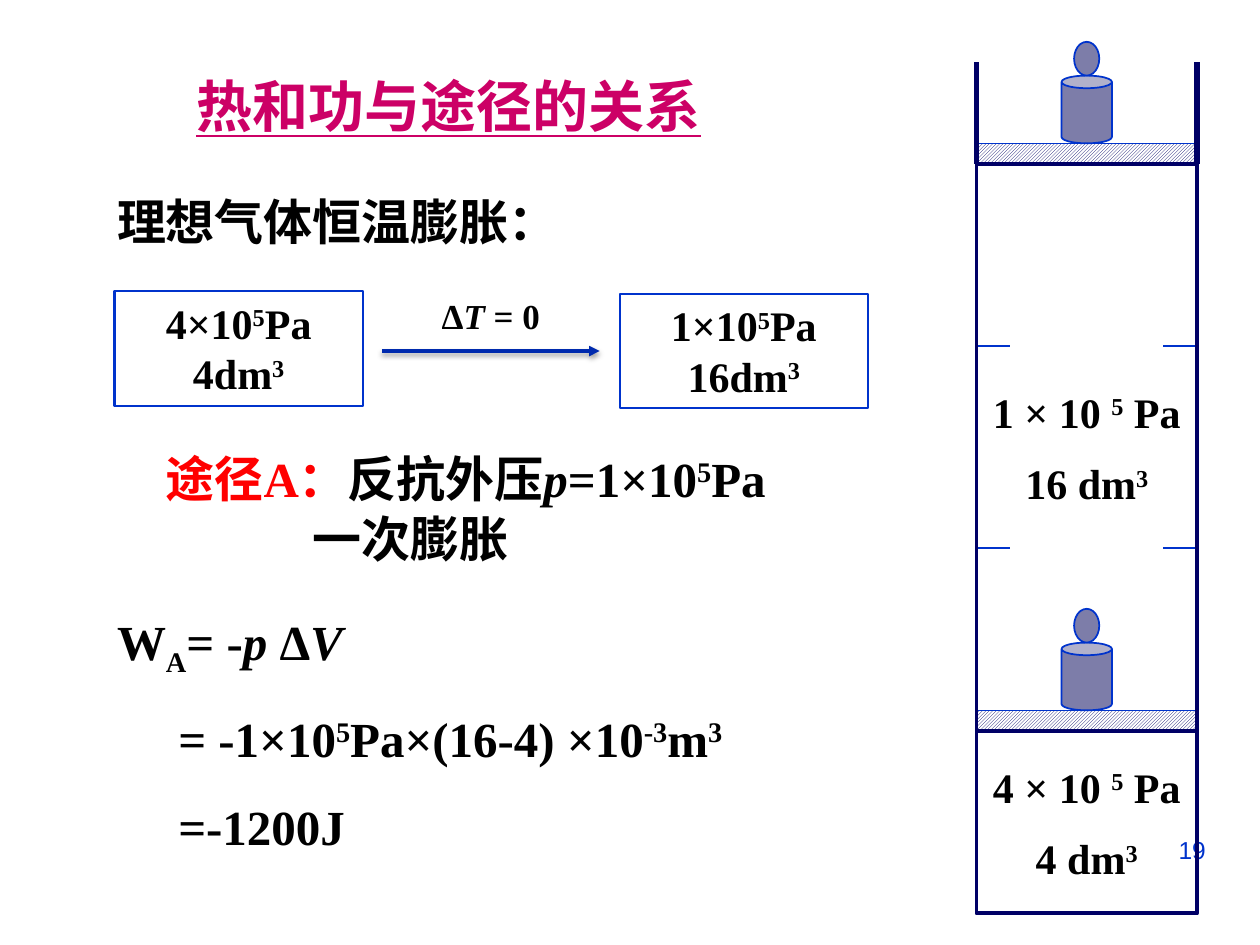
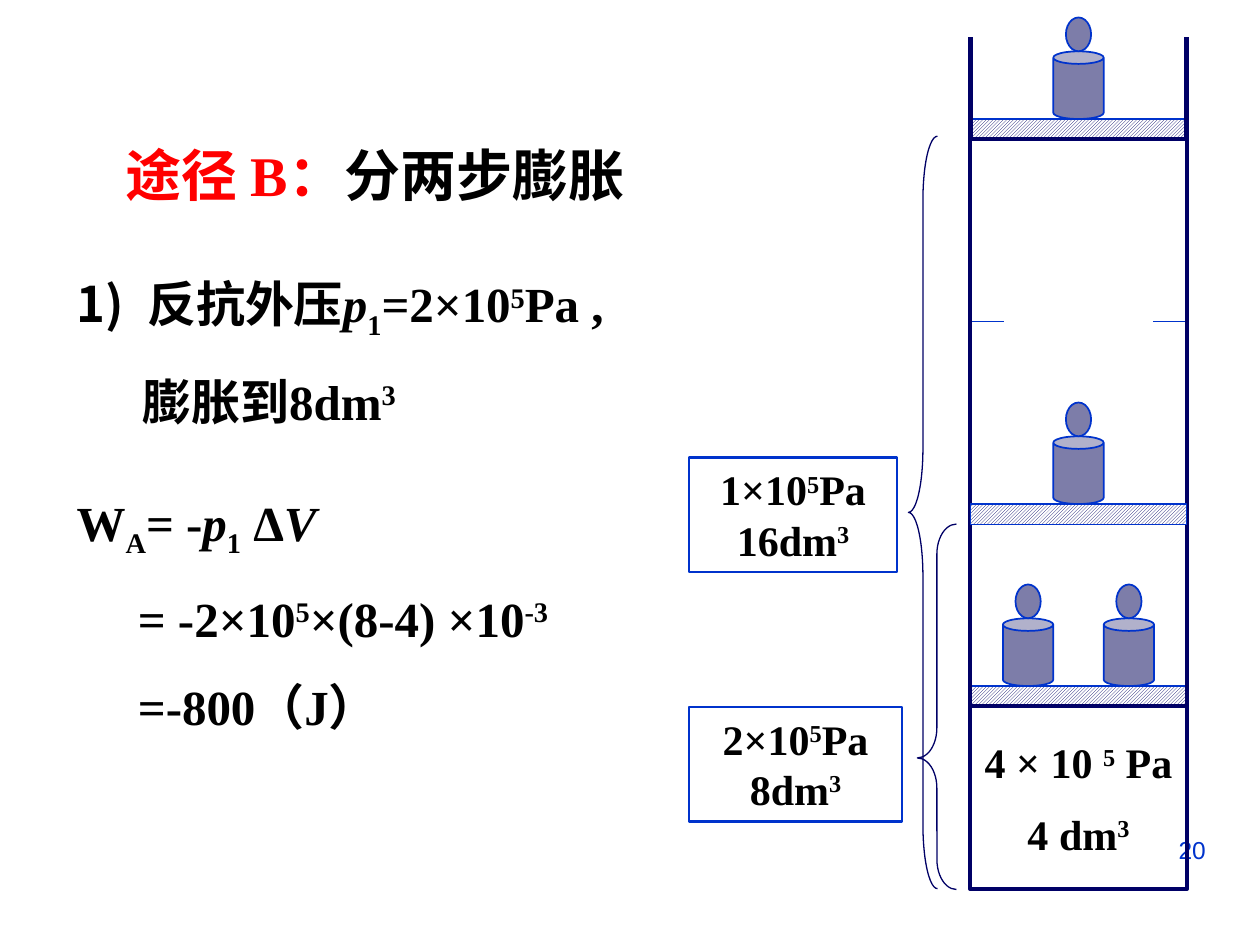
from itertools import zip_longest

from lxml import etree
from pptx import Presentation
from pptx.dml.color import RGBColor
from pptx.enum import dml, shapes, text
from pptx.oxml import ns
from pptx.util import Pt

BLACK = RGBColor(0, 0, 0)
WHITE = RGBColor(255, 255, 255)
RED = RGBColor(255, 0, 0)
PINK = RGBColor(0xCC, 0, 0x66)
BLUE = RGBColor(0, 0x33, 0xCC)
ARROW = RGBColor(0, 0x2A, 0xAE)
NAVY = RGBColor(0, 0, 0x66)
STEEL = RGBColor(0x7D, 0x7D, 0xA9)
SERIF, SANS = "Times New Roman", "Arial"
SHAPE = shapes.MSO_SHAPE
ALIGN = text.PP_ALIGN

# Parts of the gas cylinder
LOW_H, HIGH_H, WALL_H = 104.4, 324, 58.3
PLATE_H, TICK_W, TICK_UPS = 11.7, 19.3, (104.4, 219.8)
CAN_W, CAN_H, KNOB_W, KNOB_H = 28.8, 38.7, 14.4, 19.3


def add_xml(parent, tag, **attrs):
    return etree.SubElement(parent, ns.qn(tag), attrs)


# Text: "|" parts runs; a leading ^ _ / ! marks super, sub, italic, red
def add_runs(para, line):
    for part in line.split("|"):
        mark = part[0] if part[0] in "^_/!" else ""
        run = para.add_run()
        run.text = part[len(mark):]
        props = run._r.get_or_add_rPr()
        props.set("lang", "zh-CN")
        if mark == "^":
            props.set("baseline", "30000")
        elif mark == "_":
            props.set("baseline", "-25000")
        elif mark == "/":
            run.font.italic = True
        elif mark == "!":
            run.font.color.rgb = RED


def write(frame, lines, size, face=SERIF, color=BLACK, bold=True,
          aligns=(), insets=(), lead=None, gap=0, number=None):
    for i, (line, align, inset) in enumerate(
            zip_longest(lines, aligns, insets)):
        para = frame.paragraphs[0] if i == 0 else frame.add_paragraph()
        add_runs(para, line)
        para.alignment = align
        if lead:
            para.line_spacing = lead
        if gap and i:
            para.space_before = Pt(gap)
        props = para._p.get_or_add_pPr()
        if inset:
            props.set("marL", str(Pt(inset)))
        if number and i == 0:
            props.set("indent", str(-Pt(inset)))
            add_xml(props, "a:buAutoNum", type=number)
        font = para.font
        font.size, font.name, font.bold = Pt(size), face, bold
        font.color.rgb = color


def add_text(slide, x, y, w, h, lines, size, wrap=True, **style):
    frame = slide.shapes.add_textbox(Pt(x), Pt(y), Pt(w), Pt(h)).text_frame
    frame.word_wrap = wrap
    write(frame, lines, size, **style)
    return frame


# Shapes and lines
def add_form(slide, kind, x, y, w, h, color, width, fill=None):
    form = slide.shapes.add_shape(kind, Pt(x), Pt(y), Pt(w), Pt(h))
    form.shadow.inherit = False
    form.line.color.rgb, form.line.width = color, Pt(width)
    if fill is None:
        form.fill.background()
    else:
        form.fill.solid()
        form.fill.fore_color.rgb = fill
    return form


def add_line(slide, x1, y1, x2, y2, color, width):
    line = slide.shapes.add_connector(
        shapes.MSO_CONNECTOR.STRAIGHT, Pt(x1), Pt(y1), Pt(x2), Pt(y2))
    line.line.color.rgb, line.line.width = color, Pt(width)
    return line, add_xml(line._element.spPr, "a:effectLst")


def add_arrow(slide, x1, x2, y):
    line, effects = add_line(slide, x1, y, x2, y, ARROW, 2)
    add_xml(line.line._get_or_add_ln(), "a:tailEnd", type="triangle")
    shade = add_xml(effects, "a:outerShdw", blurRad=str(Pt(3.1)),
                    dist=str(Pt(1.6)), dir="5400000", rotWithShape="0")
    tint = add_xml(shade, "a:srgbClr", val="000000")
    add_xml(tint, "a:alpha", val="38000")


def add_state(slide, x, y, w, lines):
    box = add_form(slide, SHAPE.RECTANGLE, x, y, w, 65.5, BLUE, 1.25)
    frame = box.text_frame
    frame.word_wrap = True
    frame.vertical_anchor = text.MSO_ANCHOR.TOP
    write(frame, lines, 24, aligns=[ALIGN.CENTER] * 2)


def add_brace(slide, x, y, w, h, curl, tip):
    brace = add_form(slide, SHAPE.LEFT_BRACE, x, y, w, h, NAVY, 0.75)
    brace.adjustments[0], brace.adjustments[1] = curl, tip


def add_plate(slide, x, y, w):
    plate = add_form(slide, SHAPE.RECTANGLE, x, y, w, PLATE_H, BLUE, 0.75)
    plate.fill.patterned()
    plate.fill.pattern = dml.MSO_PATTERN.DARK_UPWARD_DIAGONAL
    plate.fill.fore_color.rgb = NAVY
    plate.fill.back_color.rgb = WHITE


def add_weight(slide, mid, floor):
    top = floor - CAN_H
    can = add_form(slide, SHAPE.CAN, mid - CAN_W / 2, top, CAN_W, CAN_H,
                   BLUE, 1, STEEL)
    can.adjustments[0] = 0.25
    add_form(slide, SHAPE.OVAL, mid - KNOB_W / 2, top - KNOB_H,
             KNOB_W, KNOB_H, BLUE, 1, STEEL)


def add_room(slide, x, y, w, h, lines):
    room = add_form(slide, SHAPE.RECTANGLE, x, y, w, h, NAVY, 2.25)
    if lines:
        frame = room.text_frame
        frame.word_wrap = False
        frame.vertical_anchor = text.MSO_ANCHOR.MIDDLE
        write(frame, lines, 24, aligns=[ALIGN.CENTER] * 2, gap=12)


def add_gas(slide, x, top, w, low, high=()):
    base = top + HIGH_H
    for y in (base, top):
        add_plate(slide, x, y - PLATE_H, w)
    for up in TICK_UPS:
        for start in (x, x + w - TICK_W):
            add_line(slide, start, base - up, start + TICK_W, base - up,
                     BLUE, 0.75)
    add_room(slide, x, base, w, LOW_H, low)
    add_room(slide, x, top, w, HIGH_H, high)
    for side in (x, x + w):
        add_line(slide, side, top, side, top - WALL_H, NAVY, 3)
    add_weight(slide, x + w / 2, top - PLATE_H)


def new_slide(deck, page):
    slide = deck.slides.add_slide(deck.slide_layouts[6])
    add_text(slide, 516.2, 473.8, 180, 37.4, [page], 14, face=SANS,
             color=BLUE, bold=False, aligns=[ALIGN.RIGHT])
    return slide


def path_a(deck):
    slide = new_slide(deck, "19")
    title = add_text(slide, 105.1, 37.4, 391, 45.4, ["热和功与途径的关系"],
                     32, face=SANS, color=PINK)
    title.paragraphs[0].font.underline = True

    # Cylinder
    add_gas(slide, 558, 93.6, 126, ["4 × 10 |^5| Pa", "4 dm|^3"],
            ["1 × 10 |^5| Pa", "16 dm|^3"])
    add_weight(slide, 621, 93.6 + HIGH_H - PLATE_H)

    # Change of state
    add_text(slide, 59.8, 105.8, 487.4, 41, ["理想气体恒温膨胀："], 28,
             face=SANS)
    add_state(slide, 65.5, 166.3, 141.8, ["4×10|^5|Pa", "4dm|^3"])
    add_state(slide, 354.2, 167.8, 141.8, ["1×10|^5|Pa", "16dm|^3"])
    add_arrow(slide, 218.2, 342.7, 200.6)
    add_text(slide, 244.8, 164.9, 71.3, 31.7, ["Δ|/T| = 0"], 20,
             wrap=False, aligns=[ALIGN.CENTER])

    # Work done
    add_text(slide, 70.6, 252.7, 391, 76.3,
             ["!途径A：|反抗外压|/p|=1×10|^5|Pa", "一次膨胀"], 28,
             aligns=[ALIGN.CENTER, ALIGN.LEFT], insets=[0, 101], gap=0.5)
    add_text(slide, 59.8, 326.9, 442, 159.8,
             ["W|_A|= -|/p |Δ|/V",
              "= -1×10|^5|Pa×(16-4) ×10|^-3|m|^3", "=-1200J"],
             28, insets=[0, 35, 35], lead=1.5)


def path_b(deck):
    slide = new_slide(deck, "20")
    add_text(slide, 64.8, 65.5, 368.6, 57.6, ["!途径 B：|分两步膨胀"], 32,
             lead=1.3)

    # Cylinder with three loads
    x, w, top = 554.4, 123.8, 79.7
    mid, base = x + w / 2, top + HIGH_H
    add_brace(slide, 524.2, 299.5, 22.3, 208.8, 0.77, 0.64)
    add_gas(slide, x, top, w, ["4 × 10 |^5| Pa", "4 dm|^3"])
    for shift in (-CAN_W, CAN_W):
        add_weight(slide, mid + shift, base - PLATE_H)
    add_weight(slide, mid, 288)
    add_plate(slide, x, 288, w)
    add_brace(slide, 519.1, 77.8, 16.6, 430, 2.19, 0.5)
    add_state(slide, 393.8, 261.4, 118.8, ["1×10|^5|Pa", "16dm|^3"])
    add_state(slide, 393.8, 403.9, 121.7, ["2×10|^5|Pa", "8dm|^3"])

    # First step
    add_text(slide, 36.7, 133.9, 475.9, 108.7,
             ["反抗外压|/p|_1|=2×10|^5|Pa ,", "膨胀到8dm|^3"], 28,
             insets=[40.3, 37.6], lead=1.5, gap=0.4,
             number="arabicParenR")
    add_text(slide, 36.7, 258.5, 337, 159.8,
             ["W|_A|= -|/p|_1| Δ|/V", "= -2×10|^5|×(8-4) ×10|^-3",
              "=-800（J）"],
             28, insets=[0, 35, 35], lead=1.5)


def main():
    deck = Presentation()
    deck.slide_width, deck.slide_height = Pt(720), Pt(540)
    path_a(deck)
    path_b(deck)
    deck.save("out.pptx")


if __name__ == "__main__":
    main()
